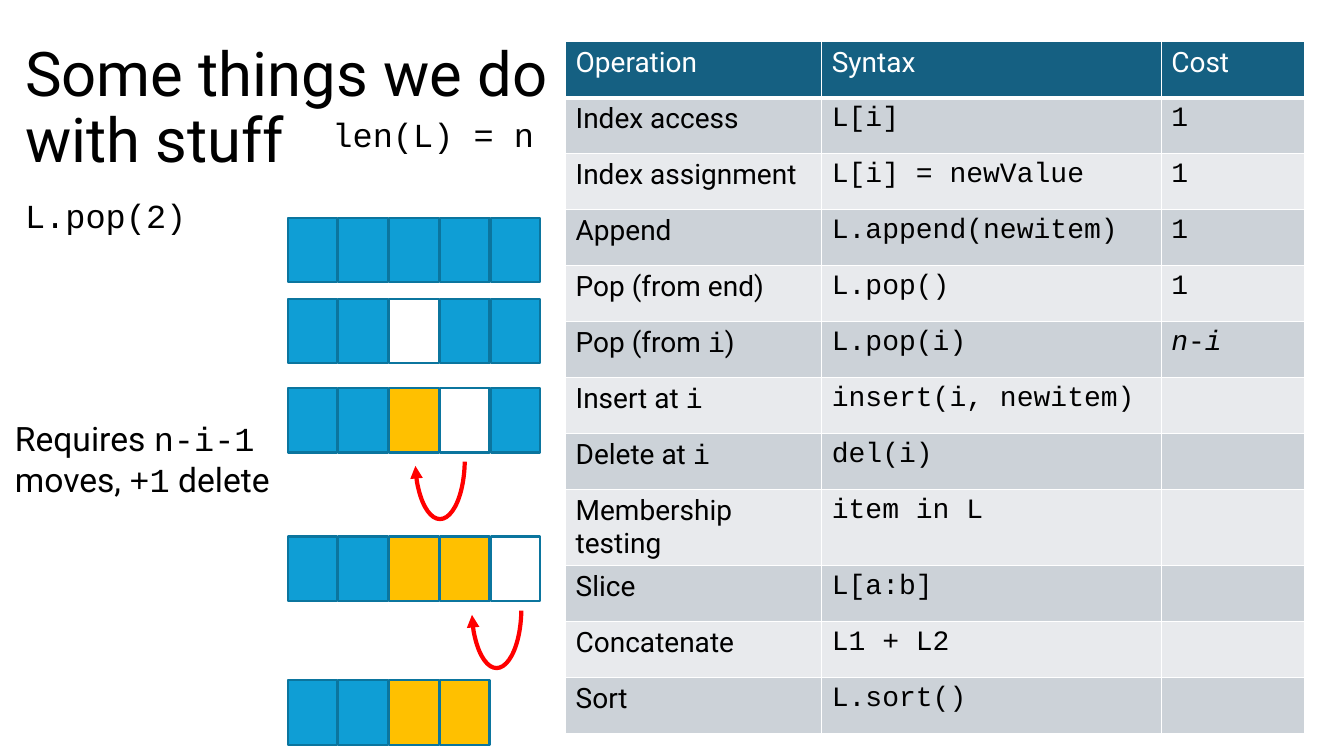
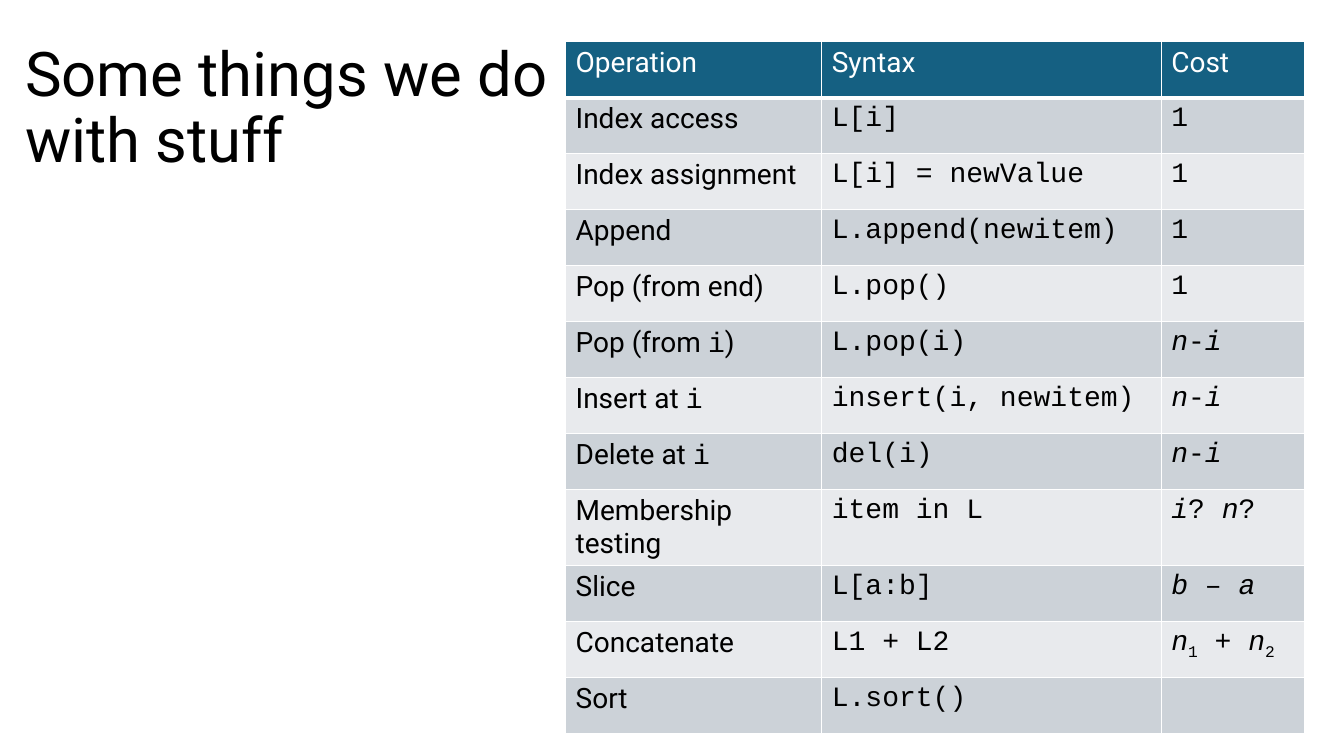
from dataclasses import dataclass
from typing import NamedTuple

from lxml import etree
from pptx import Presentation
from pptx.dml.color import RGBColor
from pptx.enum.shapes import MSO_SHAPE
from pptx.enum.text import MSO_ANCHOR, MSO_AUTO_SIZE, PP_ALIGN
from pptx.oxml.ns import qn
from pptx.util import Pt

RECT, ARC = MSO_SHAPE.RECTANGLE, MSO_SHAPE.ARC
LEFT, MIDDLE, FIXED = PP_ALIGN.LEFT, MSO_ANCHOR.MIDDLE, MSO_AUTO_SIZE.NONE
TITLE_ONLY = 5


@dataclass(frozen=True)
class Theme:
    sans: str = "Roboto"
    mono: str = "Courier New"
    title_size: float = 44
    note_size: float = 24
    table_size: float = 20
    text: str = "000000"
    white: str = "FFFFFF"
    header: str = "156082"
    bands: tuple = ("CCD2D8", "E8EAED")
    item: str = "0F9ED5"
    moved: str = "FFC000"
    item_line: str = "0B759E"
    arrow: str = "FF0000"


class Run(NamedTuple):
    text: str
    mono: bool = False
    italic: bool = False
    sub: bool = False


class Box(NamedTuple):
    left: float
    top: float
    width: float
    height: float


class Note(NamedTuple):
    box: Box
    runs: list
    wrap: bool = True


class Operation(NamedTuple):
    name: list
    syntax: str
    cost: list


class ListState(NamedTuple):
    """One row of list items: x is an item, m a moved item, - an empty slot."""
    top: float
    items: str


def code(text: str) -> Run:
    return Run(text, mono=True)


def var(text: str) -> Run:
    return Run(text, mono=True, italic=True)


def sub(text: str) -> Run:
    return Run(text, mono=True, sub=True)


THEME = Theme()
TITLE = "Some things we do\vwith stuff"
TITLE_BOX = Box(10.8, 26, 828, 104.4)

HEADINGS = ("Operation", "Syntax", "Cost")
TABLE_LEFT, TABLE_TOP, ROW_HEIGHT = 404, 29.8, 40
COLUMN_WIDTHS = (183, 242.5, 102.25)
ONE, N_MINUS_I = [code("1")], [var("n"), code("-"), var("i")]
OPERATIONS = [
    Operation([Run("Index access")], "L[i]", ONE),
    Operation([Run("Index assignment")], "L[i] = newValue", ONE),
    Operation([Run("Append")], "L.append(newitem)", ONE),
    Operation([Run("Pop (from end)")], "L.pop()", ONE),
    Operation([Run("Pop (from "), code("i"), Run(")")], "L.pop(i)", N_MINUS_I),
    Operation([Run("Insert at "), code("i")], "insert(i, newitem)", N_MINUS_I),
    Operation([Run("Delete at "), code("i")], "del(i)", N_MINUS_I),
    Operation([Run("Membership testing")], "item in L",
              [var("i"), code("?"), var(" n"), code("?")]),
    Operation([Run("Slice")], "L[a:b]", [var("b "), code("– "), var("a")]),
    Operation([Run("Concatenate")], "L1 + L2",
              [var("n"), sub("1"), code(" + "), var("n"), sub("2")]),
    Operation([Run("Sort")], "L.sort()", []),
]

ITEM_LEFT, ITEM_STEP, ITEM_WIDTH, ITEM_HEIGHT = 205.4, 36.3, 35.4, 46
STATES = [
    ListState(155.6, "xxxxx"),
    ListState(213.6, "xx-xx"),
    ListState(277.2, "xxm-x"),
    ListState(383.2, "xxmm-"),
    ListState(486, "xxmm"),
]
ARROWS = [Box(296.6, 285.2, 35.4, 85.6), Box(337, 391.6, 35.4, 85.6)]
NOTES = [
    Note(Box(230.4, 77.8, 173.5, 36), [code("len(L) = n")]),
    Note(Box(10.8, 135.4, 130.3, 36), [code("L.pop(2)")], wrap=False),
    Note(Box(3.6, 295.2, 201.6, 65.5),
         [Run("Requires "), code("n-i-1 "), Run("moves, "), code("+1"), Run(" delete")]),
]


def rgb(color: str) -> RGBColor:
    return RGBColor.from_string(color)


def lengths(box: Box) -> list:
    return [Pt(v) for v in box]


def set_font(font, size: float, color: str, name: str, italic: bool = False) -> None:
    values = {"size": Pt(size), "name": name, "italic": italic, "bold": False}
    for key, value in values.items():
        setattr(font, key, value)
    font.color.rgb = rgb(color)


def add_runs(p, runs: list, size: float, color: str) -> None:
    for run in runs:
        r = p.add_run()
        r.text = run.text
        set_font(r.font, size, color, THEME.mono if run.mono else THEME.sans, run.italic)
        if run.sub:
            r._r.get_or_add_rPr().set("baseline", "-25000")


def add_titled_slide(prs):
    slide = prs.slides.add_slide(prs.slide_layouts[TITLE_ONLY])
    sp = slide.shapes.title
    sp.left, sp.top, sp.width, sp.height = lengths(TITLE_BOX)
    tf = sp.text_frame
    tf.text = TITLE
    for key, value in {"vertical_anchor": MIDDLE, "auto_size": FIXED, "word_wrap": True}.items():
        setattr(tf, key, value)
    p = tf.paragraphs[0]
    p.alignment, p.line_spacing = LEFT, 0.9
    for r in p.runs:
        set_font(r.font, THEME.title_size, THEME.text, THEME.sans)
    return slide


def set_borders(cell, bottom: float) -> None:
    tcPr = cell._tc.get_or_add_tcPr()
    for side, width in {"L": 1, "R": 1, "T": 1, "B": bottom}.items():
        ln = etree.SubElement(tcPr, qn(f"a:ln{side}"), w=str(Pt(width)))
        fill = etree.SubElement(ln, qn("a:solidFill"))
        etree.SubElement(fill, qn("a:srgbClr"), val=THEME.white)


def fill_cell(cell, runs: list, fill: str, color: str, bottom: float = 1) -> None:
    set_borders(cell, bottom)
    cell.fill.solid()
    cell.fill.fore_color.rgb = rgb(fill)
    add_runs(cell.text_frame.paragraphs[0], runs, THEME.table_size, color)


def add_cost_table(slide, known_costs: int) -> None:
    """Draw all operations, with the cost of the first known_costs only."""
    rows = len(OPERATIONS) + 1
    box = Box(TABLE_LEFT, TABLE_TOP, sum(COLUMN_WIDTHS), rows * ROW_HEIGHT)
    table = slide.shapes.add_table(rows, len(HEADINGS), *lengths(box)).table
    table.horz_banding = False
    for column, width in zip(table.columns, COLUMN_WIDTHS):
        column.width = Pt(width)
    for col, heading in enumerate(HEADINGS):
        fill_cell(table.cell(0, col), [Run(heading)], THEME.header, THEME.white, bottom=3)
    for i, op in enumerate(OPERATIONS):
        cost = op.cost if i < known_costs else []
        for col, runs in enumerate((op.name, [code(op.syntax)], cost)):
            fill_cell(table.cell(i + 1, col), runs, THEME.bands[i % 2], THEME.text)


def add_note(slide, note: Note) -> None:
    tf = slide.shapes.add_textbox(*lengths(note.box)).text_frame
    tf.word_wrap = note.wrap
    add_runs(tf.paragraphs[0], note.runs, THEME.note_size, THEME.text)


def add_outlined(slide, kind, box: Box, line: str, width: float):
    sp = slide.shapes.add_shape(kind, *lengths(box))
    sp.shadow.inherit = False
    sp.fill.background()
    sp.line.color.rgb = rgb(line)
    sp.line.width = Pt(width)
    return sp


def add_list_state(slide, state: ListState) -> None:
    fills = {"x": THEME.item, "m": THEME.moved}
    for i, item in enumerate(state.items):
        box = Box(ITEM_LEFT + i * ITEM_STEP, state.top, ITEM_WIDTH, ITEM_HEIGHT)
        sp = add_outlined(slide, RECT, box, THEME.item_line, 1.5)
        if item in fills:
            sp.fill.solid()
            sp.fill.fore_color.rgb = rgb(fills[item])


def add_move_arrow(slide, box: Box) -> None:
    sp = add_outlined(slide, ARC, box, THEME.arrow, 3)
    sp.adjustments[0], sp.adjustments[1] = 3.53, 98.79
    etree.SubElement(sp.line._get_or_add_ln(), qn("a:tailEnd"), type="triangle")


def main() -> None:
    prs = Presentation()
    prs.slide_width, prs.slide_height = Pt(960), Pt(540)

    pop_slide = add_titled_slide(prs)
    add_cost_table(pop_slide, known_costs=5)
    for state in STATES:
        add_list_state(pop_slide, state)
    for box in ARROWS:
        add_move_arrow(pop_slide, box)
    for note in NOTES:
        add_note(pop_slide, note)

    add_cost_table(add_titled_slide(prs), known_costs=len(OPERATIONS))
    prs.save("out.pptx")


if __name__ == "__main__":
    main()
